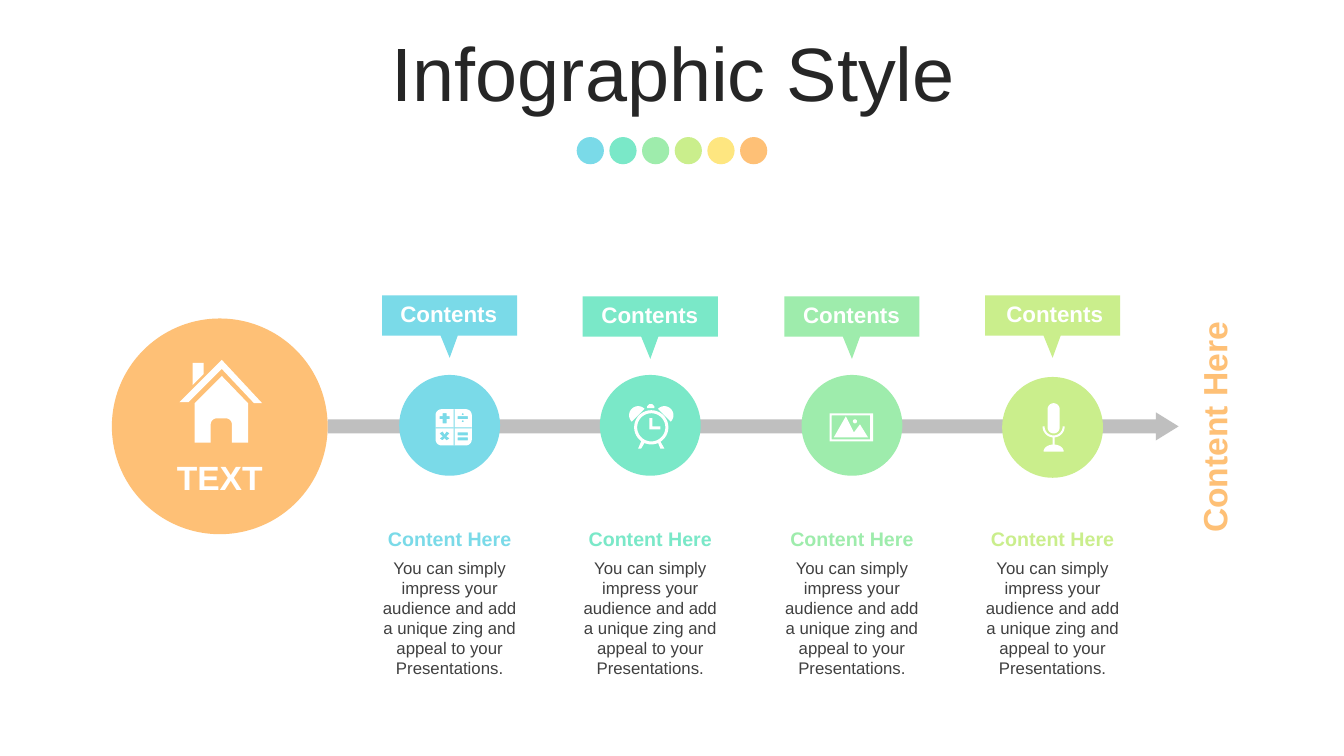
"""Build the Infographic Style timeline slide."""
import math

import pptx
import pptx.dml.color
import pptx.enum.shapes
import pptx.enum.text
import pptx.util

Inches = pptx.util.Inches
SHAPE = pptx.enum.shapes.MSO_SHAPE
ANCHOR = pptx.enum.text.MSO_ANCHOR
AUTO = pptx.enum.text.MSO_AUTO_SIZE

TITLE = "Infographic Style"
BODY = ("You can simply impress your audience and add a unique zing "
        "and appeal to your Presentations.")
BLUE, TEAL, GREEN, LIME, YELLOW, ORANGE = PALETTE = (
    "7ADAE8", "7AE8C8", "9EECAC", "CAEE8C", "FEE680", "FEC076")
WHITE, GREY, DARK, TEXT = "FFFFFF", "BFBFBF", "262626", "404040"

# colour, centre x, callout top, label left inset, circle top
STEPS = [
    (BLUE, 4.46, 2.93, 0.08, 3.72),
    (TEAL, 6.45, 2.94, 0.09, 3.72),
    (GREEN, 8.45, 2.94, 0.09, 3.72),
    (LIME, 10.44, 2.93, 0.14, 3.74),
]
CALLOUT = [(-0.67, 0), (0.67, 0), (0.67, 0.4), (0.08, 0.4),
           (0, 0.62), (-0.09, 0.4), (-0.67, 0.4)]


def arc(cx, cy, rx, start=0, end=360, ry=None):
    n = max(4, abs(end - start) // 10)
    angles = [math.radians(start + (end - start) * i / n) for i in range(n + 1)]
    return [(cx + rx * math.cos(a), cy + (ry or rx) * math.sin(a)) for a in angles]


def box(l, t, r, b):
    return [(l, t), (r, t), (r, b), (l, b)]


def round_box(l, t, r, b, rad):
    return (arc(l + rad, t + rad, rad, 180, 270) + arc(r - rad, t + rad, rad, 270, 360)
            + arc(r - rad, b - rad, rad, 0, 90) + arc(l + rad, b - rad, rad, 90, 180))


ICONS = {
    "Alarm clock": [
        arc(6.46, 4.24, 0.17), arc(6.46, 4.24, 0.14),
        [(6.44, 4.15), (6.47, 4.15), (6.47, 4.23), (6.55, 4.23), (6.55, 4.26), (6.44, 4.26)],
        arc(6.33, 4.12, 0.09, 135, 315), arc(6.59, 4.12, 0.09, 225, 405),
        [(6.36, 4.38), (6.39, 4.4), (6.36, 4.45), (6.33, 4.45)],
        [(6.55, 4.38), (6.53, 4.4), (6.55, 4.45), (6.59, 4.45)],
        [(6.42, 4.05), (6.42, 4.03), (6.44, 4.01), (6.47, 4.01), (6.49, 4.03), (6.49, 4.05)],
    ],
    "Calculator": [
        round_box(4.32, 4.06, 4.68, 4.42, 0.06),
        box(4.5, 4.06, 4.51, 4.42), box(4.32, 4.24, 4.5, 4.25), box(4.51, 4.24, 4.68, 4.25),
        [(4.39, 4.1), (4.43, 4.1), (4.43, 4.13), (4.46, 4.13), (4.46, 4.16), (4.43, 4.16),
         (4.43, 4.2), (4.39, 4.2), (4.39, 4.16), (4.36, 4.16), (4.36, 4.13), (4.39, 4.13)],
        [(4.39, 4.28), (4.36, 4.3), (4.39, 4.33), (4.36, 4.35), (4.39, 4.37), (4.41, 4.35),
         (4.43, 4.37), (4.46, 4.35), (4.43, 4.33), (4.46, 4.3), (4.43, 4.28), (4.41, 4.31)],
        arc(4.59, 4.11, 0.01), box(4.54, 4.13, 4.64, 4.16), arc(4.59, 4.18, 0.01),
        box(4.54, 4.29, 4.64, 4.32), box(4.54, 4.34, 4.64, 4.37),
    ],
    "House": [
        [(2.2, 3.73), (2.46, 4), (2.46, 4.39), (2.3, 4.39)] + arc(2.24, 4.21, 0.06, 0, -90)
        + arc(2.15, 4.21, 0.06, -90, -180) + [(2.09, 4.39), (1.93, 4.39), (1.93, 4)],
        [(1.91, 3.6), (2.02, 3.6), (2.02, 3.71), (1.91, 3.82)],
        [(2.2, 3.57), (2.6, 4), (2.52, 4), (2.2, 3.66), (1.87, 3.99), (1.78, 3.99)],
    ],
    "Microphone": [
        round_box(10.39, 4, 10.51, 4.3, 0.06),
        arc(10.45, 4.23, 0.11, 0, 180) + arc(10.45, 4.23, 0.09, 180, 0),
        box(10.44, 4.34, 10.46, 4.41),
        arc(10.45, 4.48, 0.1, 180, 360, 0.07),
    ],
    "Photo": [
        box(8.23, 4.1, 8.66, 4.38), box(8.25, 4.12, 8.63, 4.36), arc(8.48, 4.18, 0.02),
        [(8.39, 4.13), (8.47, 4.29), (8.53, 4.21), (8.61, 4.34), (8.27, 4.34)],
    ],
}


def rgb(value):
    return pptx.dml.color.RGBColor.from_string(value)


def paint(shape, color):
    shape.shadow.inherit = False
    shape.fill.solid()
    shape.fill.fore_color.rgb = rgb(color)
    shape.line.fill.background()
    return shape


def add_shape(s, kind, at, color):
    return paint(s.shapes.add_shape(kind, *map(Inches, at)), color)


def add_outline(s, contours, color):
    loops = [[(Inches(x), Inches(y)) for x, y in points] for points in contours]
    builder = s.shapes.build_freeform(*loops[0][0], scale=1.0)
    for i, loop in enumerate(loops):
        if i:
            builder.move_to(*loop[0])
        builder.add_line_segments(loop[1:], close=True)
    return paint(builder.convert_to_shape(), color)


def write(shape, text, size, color, bold=False, anchor=ANCHOR.MIDDLE, fit=AUTO.NONE):
    tf = shape.text_frame
    frame = {"word_wrap": True, "auto_size": fit, "vertical_anchor": anchor}
    for key, value in frame.items():
        setattr(tf, key, value)
    p = tf.paragraphs[0]
    p.alignment = pptx.enum.text.PP_ALIGN.CENTER
    r = p.add_run()
    r.text = text
    font = {"name": "Arial", "size": pptx.util.Pt(size), "bold": bold}
    for key, value in font.items():
        setattr(r.font, key, value)
    r.font.color.rgb = rgb(color)
    return p


def add_text(s, at, *args, **kwargs):
    shape = s.shapes.add_textbox(*map(Inches, at))
    write(shape, *args, fit=AUTO.SHAPE_TO_FIT_TEXT, **kwargs)
    return shape


def main():
    prs = pptx.Presentation()
    prs.slide_width, prs.slide_height = Inches(13.33), Inches(7.5)
    s = prs.slides.add_slide(prs.slide_layouts[5])

    title = s.shapes.title
    place = dict(zip(("left", "top", "width", "height"), (0.35, 0.37, 12.66, 0.79)))
    for key, value in place.items():
        setattr(title, key, Inches(value))
    write(title, TITLE, 54, DARK).line_spacing = 0.9

    for i, color in enumerate(PALETTE):
        add_shape(s, SHAPE.OVAL, (5.72 + i * 1.62 / 5, 1.36, 0.27, 0.27), color)

    arrow = add_shape(s, SHAPE.RIGHT_ARROW, (3.25, 4.09, 8.44, 0.28), GREY)
    arrow.adjustments[0], arrow.adjustments[1] = 0.5, 0.81
    home = add_shape(s, SHAPE.OVAL, (1.11, 3.16, 2.14, 2.14), ORANGE)
    write(home, "TEXT", 24, WHITE, True, anchor=ANCHOR.BOTTOM)
    add_text(s, (10.87, 3.99, 2.34, 0.5), "Content Here", 24, ORANGE, True).rotation = 270

    for color, x, callout_top, inset, circle_top in STEPS:
        add_shape(s, SHAPE.OVAL, (x - 0.5, circle_top, 1, 1), color)
        add_text(s, (x - 0.79, 5.17, 1.58, 0.34), "Content Here", 14, color, True)
        add_text(s, (x - 0.79, 5.48, 1.58, 1.31), BODY, 12, TEXT, anchor=ANCHOR.TOP)
        callout = add_outline(s, [[(x + dx, callout_top + dy) for dx, dy in CALLOUT]], color)
        write(callout, "Contents", 16, WHITE, True, anchor=ANCHOR.TOP)
        callout.text_frame.margin_left = Inches(inset)

    for contours in ICONS.values():
        add_outline(s, contours, WHITE)

    prs.save("out.pptx")


if __name__ == "__main__":
    main()
